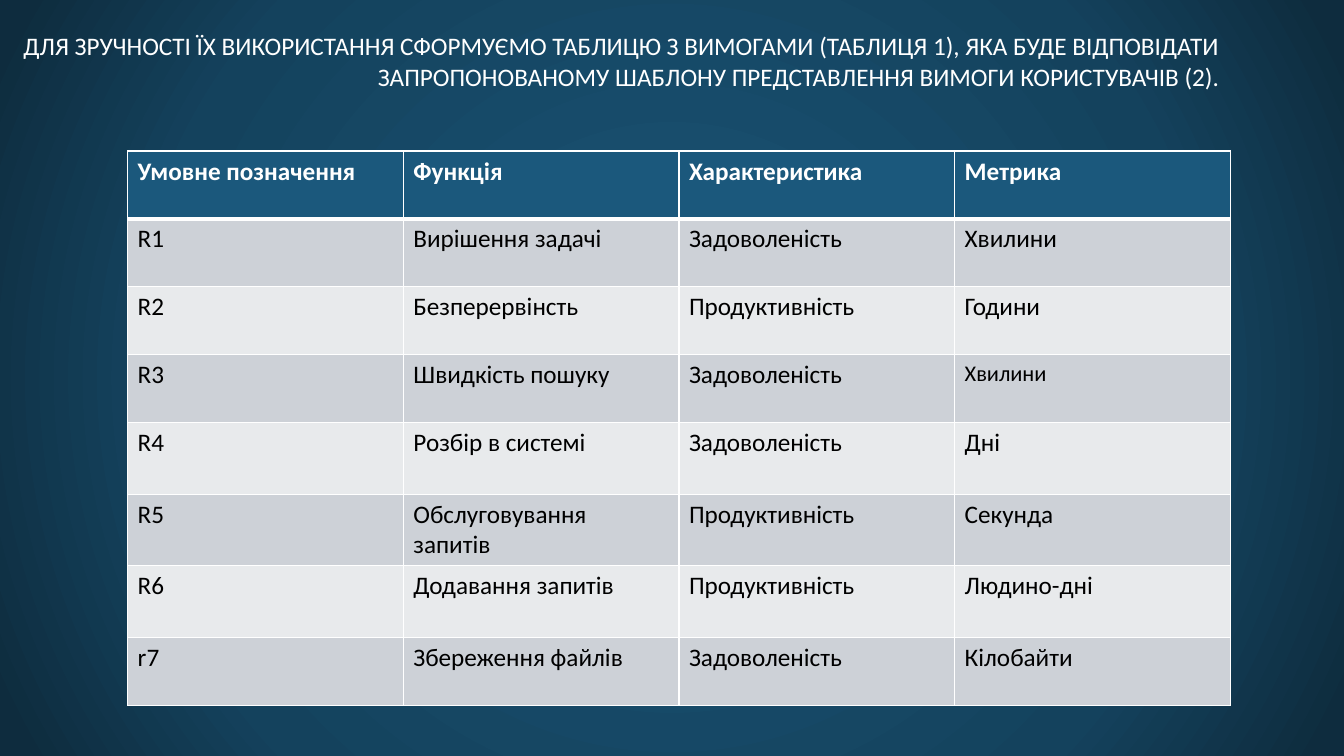
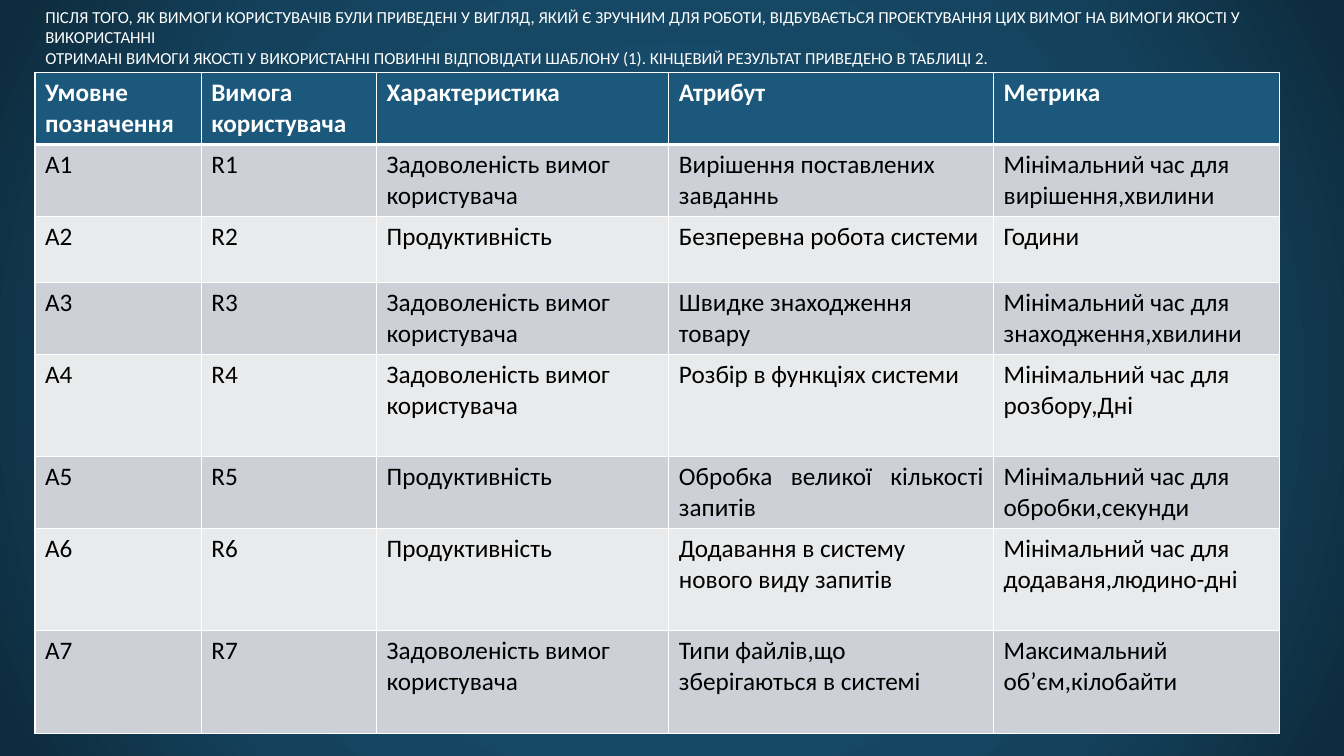
from dataclasses import dataclass, field

from lxml.etree import SubElement
from pptx import Presentation
from pptx.dml.color import RGBColor
from pptx.enum.text import MSO_ANCHOR as Anchor
from pptx.enum.text import MSO_AUTO_SIZE as Fit
from pptx.enum.text import PP_ALIGN as Align
from pptx.oxml import parse_xml
from pptx.oxml.ns import qn
from pptx.util import Pt

WHITE = RGBColor(0xFF, 0xFF, 0xFF)
BLACK = RGBColor(0x00, 0x00, 0x00)
HEAD = RGBColor(0x1B, 0x58, 0x7C)
BANDS = (RGBColor(0xE8, 0xEA, 0xEC), RGBColor(0xCD, 0xD1, 0xD7))
GLOW = RGBColor(0x18, 0x4E, 0x6E)
DEEP = RGBColor(0x14, 0x42, 0x5D)
EDGE = RGBColor(0x0E, 0x2C, 0x3E)
STOPS = ((0, GLOW), (23, GLOW), (69, DEEP), (97, EDGE))
FONT = "Calibri"
THIN, THICK = 1, 3

HAPPY = "Задоволеність"
SPEED = "Продуктивність"
NEEDS = "Задоволеність вимог користувача"
LEAST = "Мінімальний час для "


@dataclass(frozen=True)
class Title:
    """Wording, box and format of a slide title."""

    text: str
    box: tuple[float, float, float, float]
    size: float
    align: Align
    foot: float = 3.6


@dataclass(frozen=True)
class Grid:
    """Place, sizes and wording of a table."""

    left: float
    top: float
    cols: tuple[float, ...]
    rows: tuple[float, ...]
    cells: tuple[tuple[str, ...], ...]
    odd: dict[tuple[int, int], dict] = field(default_factory=dict)


PAGES = (
    (
        Title(
            "ДЛЯ ЗРУЧНОСТІ ЇХ ВИКОРИСТАННЯ СФОРМУЄМО ТАБЛИЦЮ З ВИМОГАМИ (ТАБЛИЦЯ 1), "
            "ЯКА БУДЕ ВІДПОВІДАТИ ЗАПРОПОНОВАНОМУ ШАБЛОНУ ПРЕДСТАВЛЕННЯ ВИМОГИ КОРИСТУВАЧІВ (2).",
            (0, 0, 878.4, 90.7), 18, Align.RIGHT, 25.6,
        ),
        Grid(
            91.2, 107.9, (196.9,) * 4, (48.5,) * 4 + (51.2,) * 3 + (48.5,),
            (
                ("Умовне позначення", "Функція", "Характеристика", "Метрика"),
                ("R1", "Вирішення задачі", HAPPY, "Хвилини"),
                ("R2", "Безперервінсть", SPEED, "Години"),
                ("R3", "Швидкість пошуку", HAPPY, "Хвилини"),
                ("R4", "Розбір в системі", HAPPY, "Дні"),
                ("R5", "Обслуговування запитів", SPEED, "Секунда"),
                ("R6", "Додавання запитів", SPEED, "Людино-дні"),
                ("r7", "Збереження файлів", HAPPY, "Кілобайти"),
            ),
            {(3, 3): {"size": 16}},
        ),
    ),
    (
        Title(
            "ПІСЛЯ ТОГО, ЯК ВИМОГИ КОРИСТУВАЧІВ БУЛИ ПРИВЕДЕНІ У ВИГЛЯД, ЯКИЙ Є ЗРУЧНИМ ДЛЯ РОБОТИ, "
            "ВІДБУВАЄТЬСЯ ПРОЕКТУВАННЯ ЦИХ ВИМОГ НА ВИМОГИ ЯКОСТІ У ВИКОРИСТАННІ\v"
            "ОТРИМАНІ ВИМОГИ ЯКОСТІ У ВИКОРИСТАННІ ПОВИННІ ВІДПОВІДАТИ ШАБЛОНУ (1). "
            "КІНЦЕВИЙ РЕЗУЛЬТАТ ПРИВЕДЕНО В ТАБЛИЦІ 2.",
            (25.2, 0, 935, 51.8), 12, Align.LEFT,
        ),
        Grid(
            25, 52, (118.8, 125.2, 208.8, 232, 204.4),
            (51.2, 51.2, 47.5, 51.2, 73.2, 51.2, 73.2, 73.2),
            (
                ("Умовне позначення", "Вимога користувача", "Характеристика", "Атрибут", "Метрика"),
                ("A1", "R1", NEEDS, "Вирішення поставлених завданнь", LEAST + "вирішення,хвилини"),
                ("A2", "R2", SPEED, "Безперевна робота системи", "Години"),
                ("A3", "R3", NEEDS, "Швидке знаходження товару", LEAST + "знаходження,хвилини"),
                ("A4", "R4", NEEDS, "Розбір в функціях системи", LEAST + "розбору,Дні"),
                ("A5", "R5", SPEED, "Обробка великої кількості запитів", LEAST + "обробки,секунди"),
                ("A6", "R6", SPEED, "Додавання в систему нового виду запитів", LEAST + "додаваня,людино-дні"),
                ("A7", "R7", NEEDS, "Типи файлів,що зберігаються в системі", "Максимальний об’єм,кілобайти"),
            ),
            {(5, 3): {"align": Align.JUSTIFY}},
        ),
    ),
)


def write(frame, text: str, *, size: float = 18, color: RGBColor = BLACK,
          bold: bool = False, align: Align = Align.LEFT) -> None:
    """Put formatted text into a text frame."""
    para = frame.paragraphs[0]
    para.text = text
    para.alignment = align
    for run in para.runs:
        run.font.name = FONT
        run.font.size = Pt(size)
        run.font.bold = bold
        run.font.color.rgb = color


def paint(master) -> None:
    """Give the master its round gradient."""
    master.background.fill.solid()
    flat = master.element.find(".//" + qn("p:bgPr") + "/" + qn("a:solidFill"))
    stops = "".join(
        f'<a:gs pos="{pos * 1000}"><a:srgbClr val="{tone}"/></a:gs>' for pos, tone in STOPS
    )
    blend = parse_xml(
        '<a:gradFill xmlns:a="http://schemas.openxmlformats.org/drawingml/2006/main" rotWithShape="1">'
        f'<a:gsLst>{stops}</a:gsLst><a:path path="circle">'
        '<a:fillToRect l="50000" t="50000" r="50000" b="50000"/></a:path></a:gradFill>'
    )
    flat.getparent().replace(flat, blend)


def rule(cell, row: int) -> None:
    """Draw the white borders of a cell."""
    props = cell._tc.get_or_add_tcPr()
    wide = {"T": row == 1, "B": row == 0}
    for side in "LRTB":
        width = THICK if wide.get(side) else THIN
        line = SubElement(props, qn(f"a:ln{side}"), w=str(int(Pt(width))))
        fill = SubElement(line, qn("a:solidFill"))
        SubElement(fill, qn("a:srgbClr"), val=str(WHITE))


def head(slide, title: Title) -> None:
    """Place and format the title."""
    shape = slide.shapes.title
    shape.left, shape.top, shape.width, shape.height = map(Pt, title.box)
    frame = shape.text_frame
    frame.auto_size = Fit.NONE
    frame.word_wrap = True
    frame.vertical_anchor = Anchor.BOTTOM
    frame.margin_bottom = Pt(title.foot)
    write(frame, title.text, size=title.size, color=WHITE, align=title.align)


def chart(slide, grid: Grid) -> None:
    """Build a table from its grid."""
    table = slide.shapes.add_table(
        len(grid.rows), len(grid.cols), Pt(grid.left), Pt(grid.top),
        Pt(sum(grid.cols)), Pt(sum(grid.rows)),
    ).table
    table.horz_banding = False
    for col, width in zip(table.columns, grid.cols):
        col.width = Pt(width)
    for row, high in zip(table.rows, grid.rows):
        row.height = Pt(high)
    for i, words in enumerate(grid.cells):
        look = {"color": BLACK if i else WHITE, "bold": i == 0}
        for j, text in enumerate(words):
            cell = table.cell(i, j)
            rule(cell, i)
            cell.fill.solid()
            cell.fill.fore_color.rgb = BANDS[i % 2] if i else HEAD
            write(cell.text_frame, text, **look, **grid.odd.get((i, j), {}))


def main() -> None:
    """Build and save the slides."""
    deck = Presentation()
    deck.slide_width, deck.slide_height = Pt(960), Pt(540)
    paint(deck.slide_master)
    for title, grid in PAGES:
        slide = deck.slides.add_slide(deck.slide_layouts[5])
        head(slide, title)
        chart(slide, grid)
    deck.save("out.pptx")


if __name__ == "__main__":
    main()
